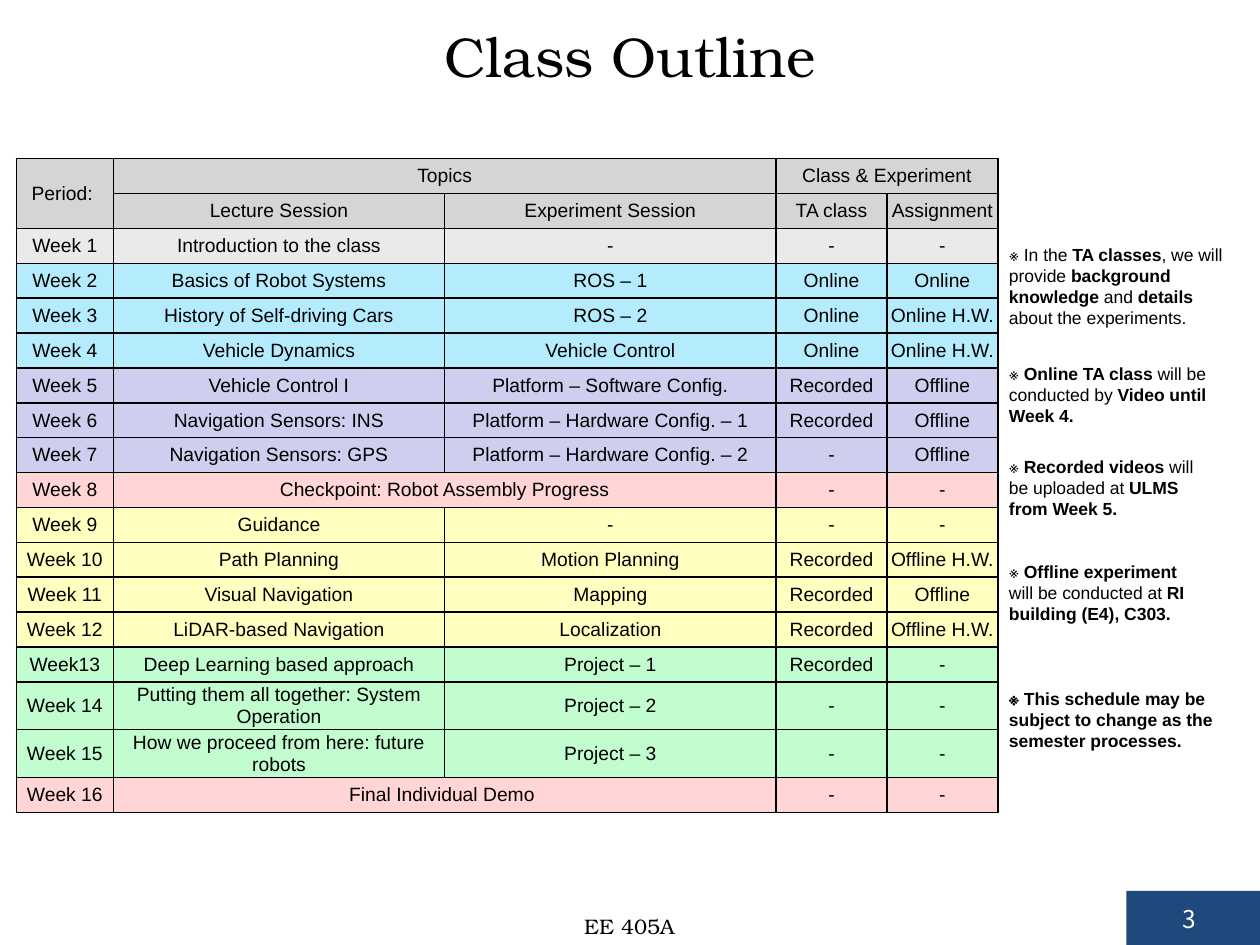
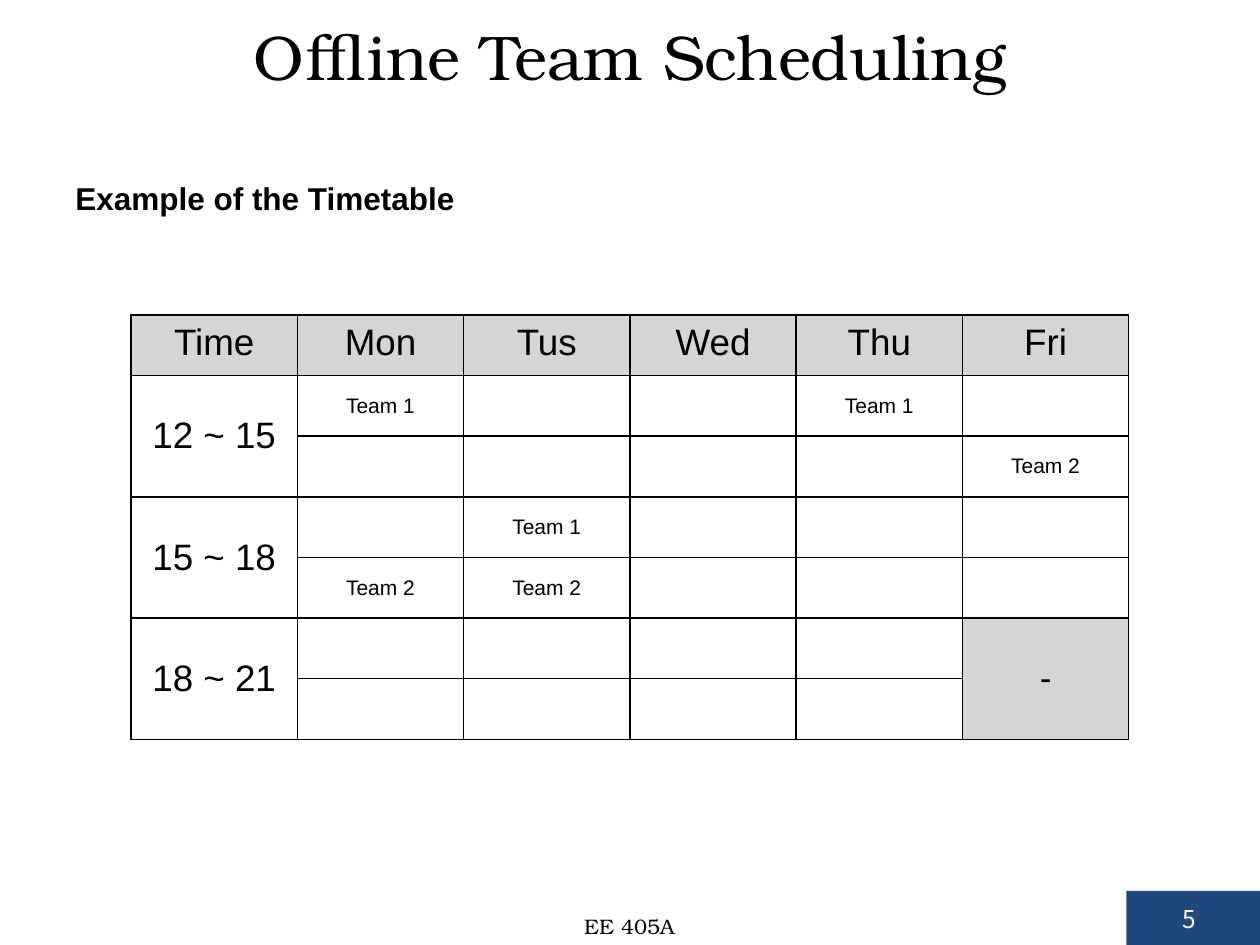
from lxml import etree
from pptx import Presentation
from pptx.dml.color import RGBColor
from pptx.enum.shapes import MSO_SHAPE
from pptx.enum.text import MSO_ANCHOR, MSO_AUTO_SIZE, PP_ALIGN
from pptx.oxml.ns import qn
from pptx.util import Inches, Pt

RECTANGLE = MSO_SHAPE.RECTANGLE
TOP, MIDDLE, BOTTOM = MSO_ANCHOR.TOP, MSO_ANCHOR.MIDDLE, MSO_ANCHOR.BOTTOM
LEFT, CENTER = PP_ALIGN.LEFT, PP_ALIGN.CENTER
GROW, FIXED = MSO_AUTO_SIZE.SHAPE_TO_FIT_TEXT, MSO_AUTO_SIZE.NONE

BLACK, WHITE, NAVY = "000000", "FFFFFF", "1F497D"
GRAY, PALE, BLUE, VIOLET = "D5D5D5", "EAEAEA", "B5ECFD", "CECEEF"
PINK, YELLOW, GREEN = "FFD5D5", "FFFFBF", "C1FDCF"

BODY_FONT, TITLE_FONT, NUMBER_FONT = "Arial", "TeX Gyre Bonum", "Noto Sans CJK KR"

OUTLINE = [
    (GRAY, "Period: ", "Topics", "", "Class & Experiment", ""),
    (GRAY, "", "Lecture Session", "Experiment Session", "TA class", "Assignment"),
    (PALE, "Week 1", "Introduction to the class", "-", "-", "-"),
    (BLUE, "Week 2", "Basics of Robot Systems", "ROS – 1", "Online", "Online"),
    (BLUE, "Week 3", "History of Self-driving Cars", "ROS – 2", "Online", "Online H.W."),
    (BLUE, "Week 4", "Vehicle Dynamics", "Vehicle Control", "Online", "Online H.W."),
    (VIOLET, "Week 5", "Vehicle Control I", "Platform – Software Config.", "Recorded", "Offline"),
    (VIOLET, "Week 6", "Navigation Sensors: INS", "Platform – Hardware Config. – 1",
     "Recorded", "Offline"),
    (VIOLET, "Week 7", "Navigation Sensors: GPS", "Platform – Hardware Config. – 2", "-", "Offline"),
    (PINK, "Week 8", "Checkpoint: Robot Assembly Progress", "", "-", "-"),
    (YELLOW, "Week 9", "Guidance", "-", "-", "-"),
    (YELLOW, "Week 10", "Path Planning", "Motion Planning", "Recorded", "Offline H.W."),
    (YELLOW, "Week 11", "Visual Navigation", "Mapping", "Recorded", "Offline"),
    (YELLOW, "Week 12", "LiDAR-based Navigation", "Localization", "Recorded", "Offline H.W."),
    (GREEN, "Week13", "Deep Learning based approach", "Project – 1", "Recorded", "-"),
    (GREEN, "Week 14", "Putting them all together: System Operation", "Project – 2", "-", "-"),
    (GREEN, "Week 15", "How we proceed from here: future robots", "Project – 3", "-", "-"),
    (PINK, "Week 16", "Final Individual Demo ", "", "-", "-"),
]
OUTLINE_SPANS = [(0, 0, 1, 0), (0, 1, 0, 2), (0, 3, 0, 4), (9, 1, 9, 2), (17, 1, 17, 2)]

NOTES = [
    (1.89, 2.04, ["※ In the ", "TA classes", ", we will provide ", "background knowledge",
                  " and ", "details", " about the experiments."]),
    (2.83, 2.13, ["※ ", "Online TA class", " will be conducted by ", "Video until Week 4."]),
    (3.57, 1.76, ["※ ", "Recorded videos ", "will be uploaded at ", "ULMS from Week 5."]),
    (4.4, 1.76, ["※ ", "Offline experiment ", "will be conducted at ", "RI building (E4), C303."]),
    (5.41, 1.84, ["", "※ This schedule may be subject to change as the semester processes."]),
]

DAYS = ["Time", "Mon", "Tus", "Wed", "Thu", "Fri"]
PERIODS = {1: "12 ~ 15", 3: "15 ~ 18", 5: "18 ~ 21"}
BOOKINGS = {(1, 1): "Team 1", (1, 4): "Team 1", (2, 5): "Team 2",
            (3, 2): "Team 1", (4, 1): "Team 2", (4, 2): "Team 2"}


def color(hex_text):
    return RGBColor.from_string(hex_text)


def apply(target, values):
    for name, value in values.items():
        setattr(target, name, value)


class Deck:
    """Holds the shared style and the slide being built."""

    def __init__(self):
        self.presentation = Presentation()
        apply(self.presentation, {"slide_width": Inches(10), "slide_height": Inches(7.5)})
        self.slide = None

    def add_slide(self, title, title_size, number):
        self.slide = self.presentation.slides.add_slide(self.presentation.slide_layouts[6])
        self.rectangle((8.94, 7.07, 1.08, 0.43), NAVY)
        self.text((0.25, 0.06, 9.5, 0.75), [title], title_size, TITLE_FONT,
                  align=CENTER, anchor=MIDDLE)
        self.text((2.33, 6.98, 5.33, 0.52), ["EE 405A"], 12, TITLE_FONT,
                  align=CENTER, anchor=BOTTOM)
        self.text((8.88, 7.08, 1.12, 0.43), [number], 14, NUMBER_FONT, WHITE,
                  align=CENTER, anchor=MIDDLE)

    def rectangle(self, box, fill):
        shape = self.slide.shapes.add_shape(RECTANGLE, *map(Inches, box))
        shape.shadow.inherit = False
        shape.fill.solid()
        shape.fill.fore_color.rgb = color(fill)
        shape.line.fill.background()

    def run(self, paragraph, words, size, font=BODY_FONT, font_color=BLACK, bold=False):
        run = paragraph.add_run()
        run.text = words
        apply(run.font, {"size": Pt(size), "name": font, "bold": bold})
        run.font.color.rgb = color(font_color)

    def text(self, box, pieces, size, font=BODY_FONT, font_color=BLACK,
             align=LEFT, anchor=TOP, resize=FIXED, wrap=True):
        """Write pieces that alternate between regular and bold."""
        frame = self.slide.shapes.add_textbox(*map(Inches, box)).text_frame
        apply(frame, {"word_wrap": wrap, "auto_size": resize, "vertical_anchor": anchor})
        paragraph = frame.paragraphs[0]
        paragraph.alignment = align
        for index, words in enumerate(pieces):
            if words:
                self.run(paragraph, words, size, font, font_color, bold=index % 2 == 1)

    def table(self, left, top, widths, heights, spans):
        frame = self.slide.shapes.add_table(len(heights), len(widths), Inches(left), Inches(top),
                                            sum(widths), sum(heights))
        table = frame.table
        apply(table, {"first_row": False, "horz_banding": False})
        for column, width in zip(table.columns, widths):
            column.width = width
        for row, height in zip(table.rows, heights):
            row.height = height
        for first_row, first_column, last_row, last_column in spans:
            table.cell(first_row, first_column).merge(table.cell(last_row, last_column))
        return table

    def cell(self, cell, words, size, fill, insets, anchor=MIDDLE):
        side, edge = map(Inches, insets)
        apply(cell, {"vertical_anchor": anchor, "margin_left": side, "margin_right": side,
                     "margin_top": edge, "margin_bottom": edge})
        self.borders(cell)
        cell.fill.solid()
        cell.fill.fore_color.rgb = color(fill)
        paragraph = cell.text_frame.paragraphs[0]
        paragraph.alignment = CENTER
        if words:
            self.run(paragraph, words, size)

    def borders(self, cell):
        properties = cell._tc.get_or_add_tcPr()
        for name in ("a:lnL", "a:lnR", "a:lnT", "a:lnB"):
            line = etree.SubElement(properties, qn(name), w=str(Pt(1)))
            fill = etree.SubElement(line, qn("a:solidFill"))
            etree.SubElement(fill, qn("a:srgbClr"), val=BLACK)


def build_outline(deck):
    deck.add_slide("Class Outline", 32, "3")
    widths = [Inches(width) for width in (0.77, 2.63, 2.63, 0.88, 0.88)]
    single, double = Inches(4.43) // 16, Inches(0.38)
    heights = [double if row[1] in ("Week 14", "Week 15") else single for row in OUTLINE]
    table = deck.table(0.13, 1.26, widths, heights, OUTLINE_SPANS)
    for row, (fill, *entries) in enumerate(OUTLINE):
        for column, words in enumerate(entries):
            deck.cell(table.cell(row, column), words, 11, fill, (0.02, 0.02))
    for top, width, pieces in NOTES:
        height = 0.77 if len(pieces) > 4 else 0.61
        deck.text((7.91, top, width, height), pieces, 10, resize=GROW)


def build_timetable(deck):
    deck.add_slide("Offline Team Scheduling", 36, "5")
    deck.text((0.5, 1.37, 3.24, 0.4), ["", "Example of the Timetable"], 18,
              resize=GROW, wrap=False)
    row_count, column_count = 7, len(DAYS)
    spans = [(row, 0, row + 1, 0) for row in PERIODS] + [(5, 5, 6, 5)]
    table = deck.table(1.04, 2.5, [Inches(7.92) // column_count] * column_count,
                       [Inches(3.37) // row_count] * row_count, spans)
    insets = (0.12, 0.06)
    for column, day in enumerate(DAYS):
        deck.cell(table.cell(0, column), day, 21, GRAY, insets, TOP)
    for row in range(1, row_count):
        deck.cell(table.cell(row, 0), PERIODS.get(row), 21, WHITE, insets)
        for column in range(1, column_count):
            closed = row >= 5 and column == 5
            words = "-" if closed and row == 5 else BOOKINGS.get((row, column))
            deck.cell(table.cell(row, column), words, 20 if closed else 12,
                      GRAY if closed else WHITE, insets)


def main():
    deck = Deck()
    build_outline(deck)
    build_timetable(deck)
    deck.presentation.save("out.pptx")


if __name__ == "__main__":
    main()
